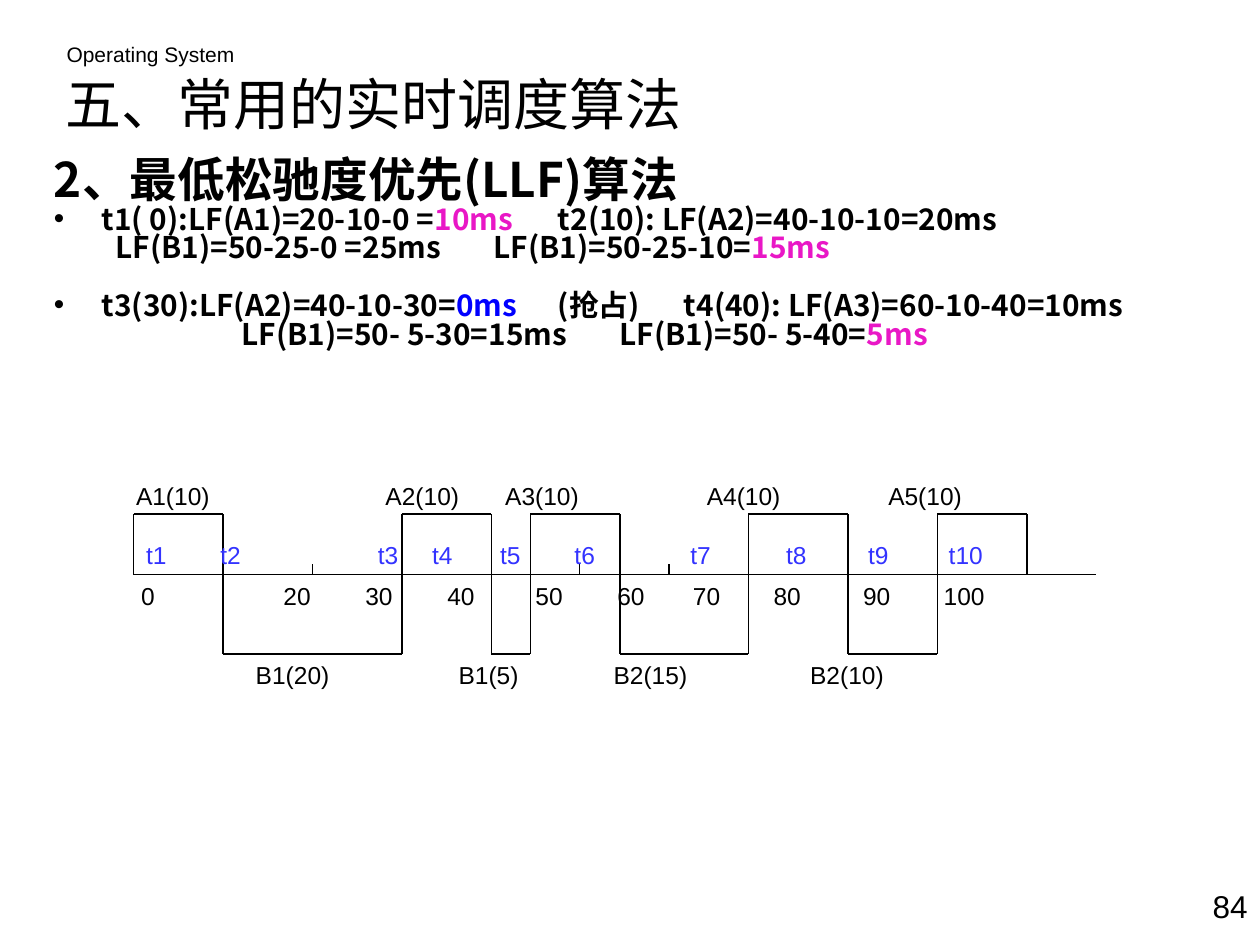
from itertools import pairwise
from lxml.etree import SubElement
from pptx import Presentation
from pptx.dml.color import RGBColor
from pptx.enum.shapes import MSO_CONNECTOR
from pptx.enum.text import MSO_ANCHOR, PP_ALIGN
from pptx.oxml.ns import qn
from pptx.util import Inches, Pt

CJK = "Noto Sans CJK SC"
BLACK, PINK, BLUE, VIOLET = "000000", "E917C6", "0000FF", "3333FF"

HEADING = "2、最低松驰度优先(LLF)算法"
STEPS = [
    dict(runs=[("t1( 0):LF(A1)=20-10-0 =", BLACK), ("10ms\t", PINK),
               ("t2(10): LF(A2)=40-10-10=20ms", BLACK)],
         left=0.38, tabs=[4], bullet=True),
    dict(runs=[("LF(B1)=50-25-0 =25ms\tLF(B1)=50-25-10=", BLACK), ("15ms", PINK)],
         left=0.49, tabs=[3.32]),
    dict(runs=[("t3(30):LF(A2)=40-10-30=", BLACK), ("0ms\t", BLUE),
               ("(抢占)\tt4(40): LF(A3)=60-10-40=10ms", BLACK)],
         left=0.38, tabs=[4, 5], bullet=True, before=16.5),
    dict(runs=[("LF(B1)=50- 5-30=15ms\tLF(B1)=50- 5-40=", BLACK), ("5ms", PINK)],
         left=1.49, tabs=[3.95]),
]

HIGH, AXIS, LOW = 4.08, 4.56, 5.19
AXIS_START, AXIS_END = 1.06, 8.7
SWITCHES = [1.06, 1.77, 3.19, 3.9, 4.21, 4.92, 5.94, 6.73, 7.44, 8.15]
TICKS = [2.48, 4.6, 5.31]
LABEL_ROWS = [
    (3.77, BLACK, [("A1(10)", 1.08), ("A2(10)", 3.06), ("A3(10)", 4.01),
                   ("A4(10)", 5.61), ("A5(10)", 7.05)]),
    (4.24, VIOLET, [("t1", 1.16), ("t2", 1.75), ("t3", 3), ("t4", 3.43), ("t5", 3.97),
                    ("t6", 4.56), ("t7", 5.48), ("t8", 6.24), ("t9", 6.89), ("t10", 7.53)]),
    (4.56, BLACK, [("0", 1.12), ("20", 2.25), ("30", 2.9), ("40", 3.55), ("50", 4.25),
                   ("60", 4.9), ("70", 5.5), ("80", 6.14), ("90", 6.85), ("100", 7.49)]),
    (5.19, BLACK, [("B1(20)", 2.03), ("B1(5)", 3.64), ("B2(15)", 4.87), ("B2(10)", 6.43)]),
]


def rgb(color):
    return RGBColor.from_string(color)


def add_run(p, text, size, color=BLACK, font="Arial", bold=False):
    r = p.add_run()
    r.text = text
    r.font.size, r.font.name, r.font.bold = Pt(size), font, bold
    r.font.color.rgb = rgb(color)
    SubElement(r.font._element, qn("a:ea")).set("typeface", font)


def add_box(slide, x, y, w, h, inset=0.1, anchor=MSO_ANCHOR.TOP, wrap=True):
    tf = slide.shapes.add_textbox(Inches(x), Inches(y), Inches(w), Inches(h)).text_frame
    tf.word_wrap, tf.vertical_anchor = wrap, anchor
    tf.margin_left = tf.margin_right = Inches(inset)
    return tf


def add_text(slide, text, x, y, w, h, size, align=PP_ALIGN.LEFT, box={}, **fmt):
    p = add_box(slide, x, y, w, h, **box).paragraphs[0]
    p.alignment = align
    add_run(p, text, size, **fmt)


def add_step(tf, runs, left, tabs, bullet=False, before=0):
    p = tf.add_paragraph()
    p.line_spacing, p.space_before = 0.8, Pt(before)
    pPr = p._p.get_or_add_pPr()
    pPr.set("marL", str(Inches(left)))
    pPr.set("indent", str(Inches(-left if bullet else 0)))
    if bullet:
        SubElement(pPr, qn("a:buFont")).set("typeface", "Arial")
        SubElement(pPr, qn("a:buChar")).set("char", "•")
    stops = SubElement(pPr, qn("a:tabLst"))
    for stop in tabs:
        tab = SubElement(stops, qn("a:tab"))
        tab.set("pos", str(Inches(stop)))
        tab.set("algn", "l")
    for text, color in runs:
        add_run(p, text, 17, color, CJK, True)


def add_line(slide, x1, y1, x2, y2):
    ln = slide.shapes.add_connector(MSO_CONNECTOR.STRAIGHT, *map(Inches, (x1, y1, x2, y2)))
    ln.line.color.rgb, ln.line.width = rgb(BLACK), Pt(0.75)
    SubElement(ln._element.spPr, qn("a:effectLst"))


def add_timeline(slide):
    add_line(slide, AXIS_START, AXIS, AXIS_END, AXIS)
    for i, (x1, x2) in enumerate(pairwise(SWITCHES)):
        level = LOW if i % 2 else HIGH
        add_line(slide, x1, level, x2, level)
    for x in SWITCHES:
        add_line(slide, x, HIGH, x, AXIS if x in (SWITCHES[0], SWITCHES[-1]) else LOW)
    for x in TICKS:
        add_line(slide, x, AXIS - 0.08, x, AXIS)
    for y, color, labels in LABEL_ROWS:
        for text, x in labels:
            add_text(slide, text, x, y, 0.7, 0.34, 14, color=color, box=dict(inset=0))


def main():
    """Build the least-laxity-first scheduling slide."""
    prs = Presentation()
    prs.slide_width, prs.slide_height = Inches(10), Inches(7.5)
    slide = prs.slides.add_slide(prs.slide_layouts[6])
    add_text(slide, "Operating System", 0.43, 0.28, 4.1, 0.3, 12)
    add_text(slide, "五、常用的实时调度算法", 0.42, 0.44, 9, 0.75, 32, font=CJK,
             box=dict(anchor=MSO_ANCHOR.MIDDLE))
    tf = add_box(slide, 0.33, 1.19, 9.67, 2.5)
    p = tf.paragraphs[0]
    p.line_spacing = 0.9
    add_run(p, HEADING, 27.2, font=CJK, bold=True)
    for step in STEPS:
        add_step(tf, **step)
    add_timeline(slide)
    add_text(slide, "84", 9.33, 6.99, 0.67, 0.4, 18, align=PP_ALIGN.RIGHT)
    prs.save("out.pptx")


if __name__ == "__main__":
    main()
